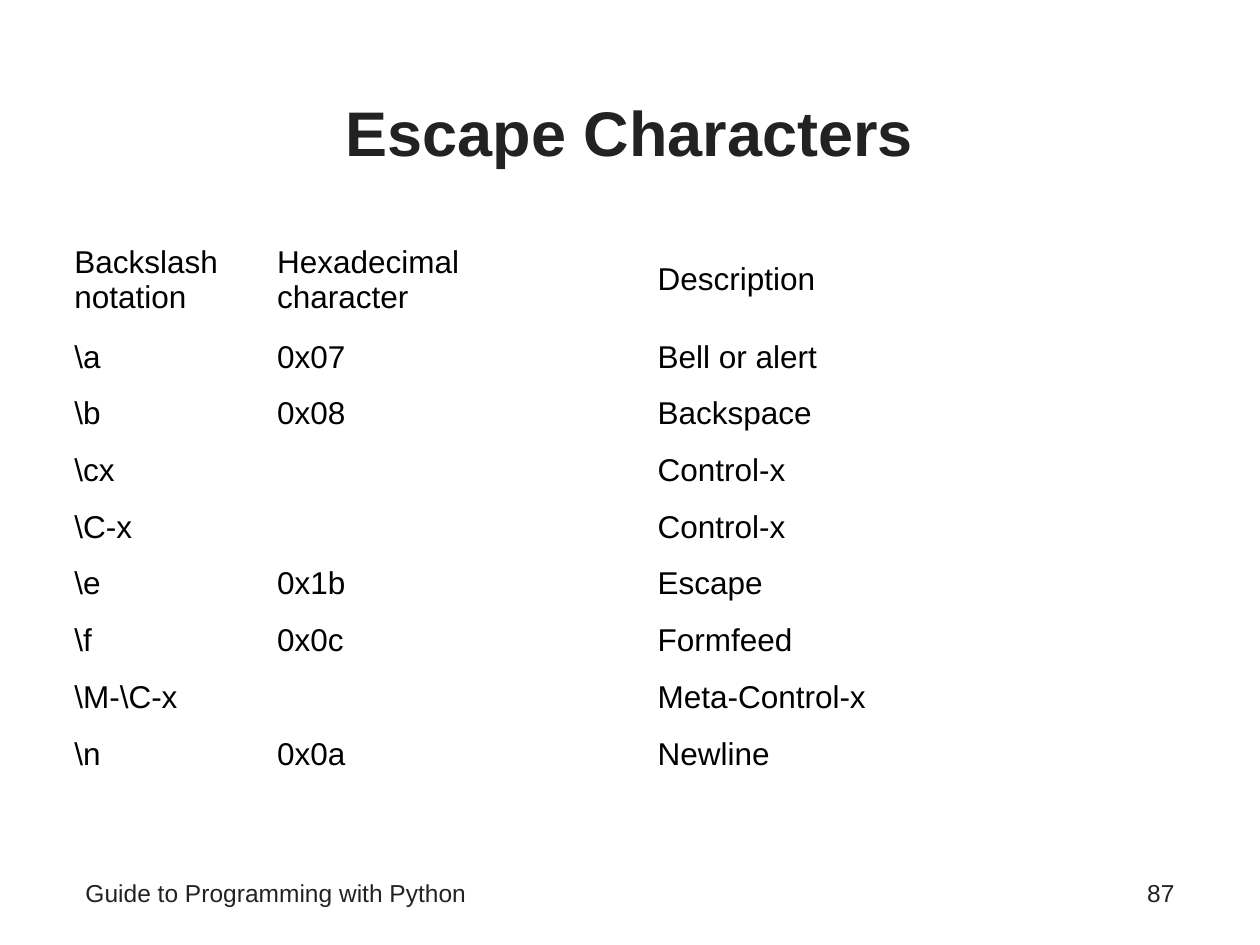
import pptx
import pptx.dml.color
import pptx.enum.text
import pptx.util

Inches = pptx.util.Inches
ALIGN = pptx.enum.text.PP_ALIGN
ANCHOR = pptx.enum.text.MSO_ANCHOR

COLORS = {"heading": "222222", "body": "000000"}
FORMATS = {
    "title": {"name": "Arial", "size": pptx.util.Pt(36), "bold": True},
    "footer": {"name": "Arial", "size": pptx.util.Pt(14), "bold": False},
    "cell": {"name": "Arial", "size": pptx.util.Pt(18), "bold": False},
}

LABELS = [
    ("Escape Characters", "title", (0.58, 0.42, 8.83, 1.25), ALIGN.CENTER, ANCHOR.MIDDLE),
    ("Guide to Programming with Python", "footer", (0.58, 6.92, 6.42, 0.42), ALIGN.LEFT, ANCHOR.TOP),
    ("87", "footer", (7.17, 6.92, 2.25, 0.42), ALIGN.RIGHT, ANCHOR.TOP),
]

ESCAPES = [
    ("Backslash\nnotation", "Hexadecimal\ncharacter", "Description"),
    (r"\a", "0x07", "Bell or alert"),
    (r"\b", "0x08", "Backspace"),
    (r"\cx", "", "Control-x"),
    (r"\C-x", "", "Control-x"),
    (r"\e", "0x1b", "Escape"),
    (r"\f", "0x0c", "Formfeed"),
    (r"\M-\C-x", "", "Meta-Control-x"),
    (r"\n", "0x0a", "Newline"),
]
COLUMN_WIDTHS = [1.61, 3.02, 4.55]
HEADER_HEIGHT, ROW_HEIGHT = 0.78, 0.45
TABLE_LEFT, TABLE_TOP = 0.49, 1.83


def write(frame, text, style, color, align=ALIGN.LEFT):
    paragraph = frame.paragraphs[0]
    paragraph.text = text
    paragraph.alignment = align
    for attribute, value in FORMATS[style].items():
        setattr(paragraph.font, attribute, value)
    paragraph.font.color.rgb = pptx.dml.color.RGBColor.from_string(COLORS[color])


def add_label(slide, text, style, place, align, anchor):
    frame = slide.shapes.add_textbox(*map(Inches, place)).text_frame
    frame.word_wrap = True
    frame.vertical_anchor = anchor
    write(frame, text, style, "heading", align)


def add_escape_table(slide):
    heights = [HEADER_HEIGHT] + [ROW_HEIGHT] * (len(ESCAPES) - 1)
    place = (TABLE_LEFT, TABLE_TOP, sum(COLUMN_WIDTHS), sum(heights))
    table = slide.shapes.add_table(
        len(ESCAPES), len(COLUMN_WIDTHS), *map(Inches, place)
    ).table
    table.first_row = table.horz_banding = False
    for column, width in zip(table.columns, COLUMN_WIDTHS):
        column.width = Inches(width)
    for row, height, texts in zip(table.rows, heights, ESCAPES):
        row.height = Inches(height)
        for cell, text in zip(row.cells, texts):
            cell.fill.background()
            cell.vertical_anchor = ANCHOR.MIDDLE
            write(cell.text_frame, text, "cell", "body")


def main():
    deck = pptx.Presentation()
    deck.slide_width, deck.slide_height = Inches(10), Inches(7.5)
    slide = deck.slides.add_slide(deck.slide_layouts[6])
    for label in LABELS:
        add_label(slide, *label)
    add_escape_table(slide)
    deck.save("out.pptx")


if __name__ == "__main__":
    main()
